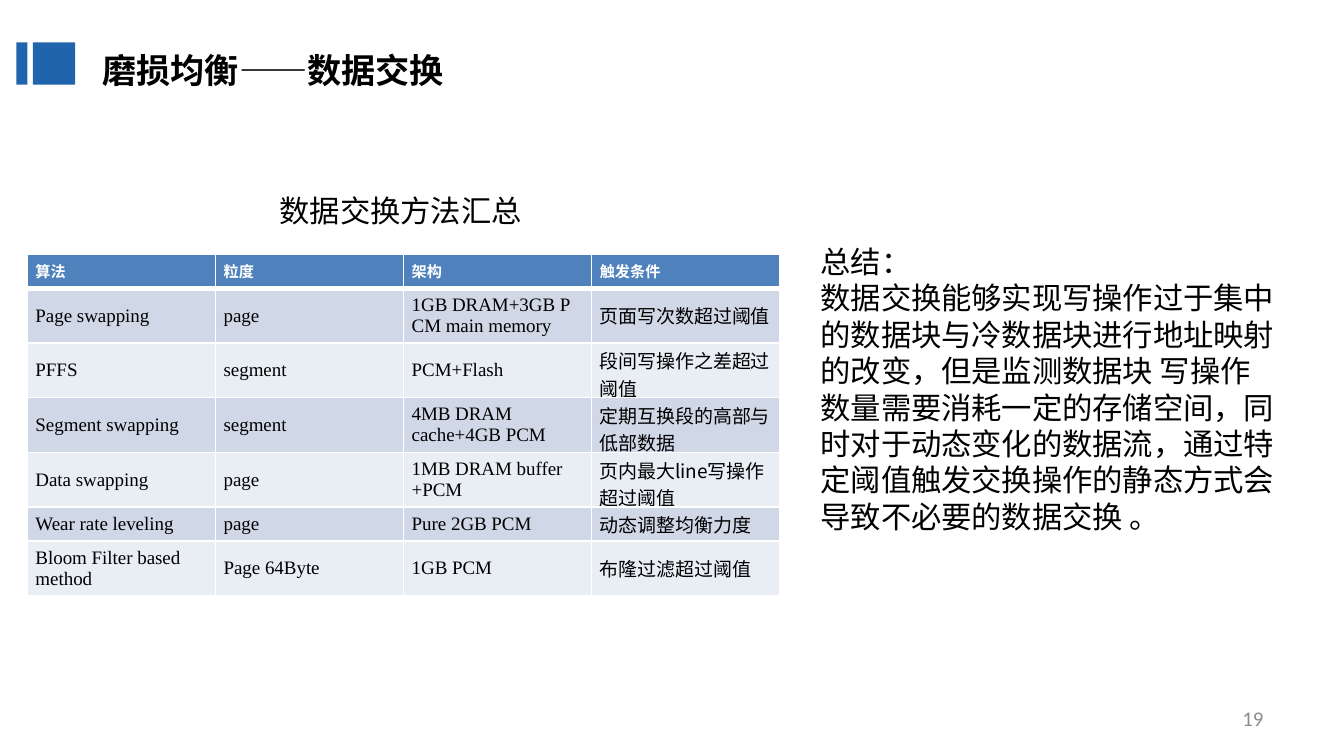
from dataclasses import dataclass

import lxml.etree
import pptx
import pptx.dml.color
import pptx.enum.shapes
import pptx.enum.text
import pptx.oxml.ns
import pptx.util

Inches = pptx.util.Inches
Anchor = pptx.enum.text.MSO_ANCHOR
Align = pptx.enum.text.PP_ALIGN
AutoSize = pptx.enum.text.MSO_AUTO_SIZE


@dataclass(frozen=True)
class Theme:
    accent: str = "2064AD"
    header: str = "4F81BD"
    bands: tuple[str, str] = ("D0D8E8", "E9EDF4")
    white: str = "FFFFFF"
    black: str = "000000"
    grey: str = "8C8C8C"
    chinese: str = "Noto Sans CJK SC"
    latin: str = "Times New Roman"
    sans: str = "Arial"
    number: str = "Calibri"
    title_size: int = 18
    text_size: int = 16
    number_size: int = 11
    cell_size: int = 10
    header_size: int = 8


@dataclass(frozen=True)
class Style:
    font: str
    size: int
    color: str
    bold: bool = False


@dataclass(frozen=True)
class Box:
    left: float
    top: float
    width: float
    height: float

    def lengths(self) -> tuple:
        return tuple(Inches(v) for v in (self.left, self.top, self.width, self.height))


@dataclass(frozen=True)
class Label:
    box: Box
    text: str
    style: Style
    align: Align = Align.LEFT
    anchor: Anchor = Anchor.TOP
    fit: AutoSize = AutoSize.SHAPE_TO_FIT_TEXT


@dataclass(frozen=True)
class Method:
    algorithm: str
    granularity: str
    architecture: str
    trigger: str

    def texts(self) -> tuple[str, ...]:
        return self.algorithm, self.granularity, self.architecture, self.trigger


THEME = Theme()
BODY = Style(THEME.sans, THEME.text_size, THEME.black)
CAPTION = Style(THEME.chinese, THEME.text_size, THEME.black)
TITLE = Style(THEME.sans, THEME.title_size, THEME.black, True)
PAGE_NUMBER = Style(THEME.number, THEME.number_size, THEME.grey)
HEADER_CELL = Style(THEME.chinese, THEME.header_size, THEME.white, True)
LATIN_CELL = Style(THEME.latin, THEME.cell_size, THEME.black)
CHINESE_CELL = Style(THEME.chinese, THEME.cell_size, THEME.black)

ACCENT_BARS = [Box(0.24, 0.31, 0.31, 0.31), Box(0.12, 0.31, 0.08, 0.31)]
TITLE_BOX = Box(0.75, 0.3, 4.25, 0.33)
TABLE_BOX = Box(0.2, 1.86, 5.51, 2.51)
ROW_HEIGHTS = [0.25, 0.4, 0.4, 0.4, 0.4, 0.25, 0.4]

METHODS = [
    Method("算法", "粒度", "架构", "触发条件"),
    Method("Page swapping", "page", "1GB DRAM+3GB P CM main memory", "页面写次数超过阈值"),
    Method("PFFS", "segment", "PCM+Flash", "段间写操作之差超过阈值"),
    Method("Segment swapping", "segment", "4MB DRAM cache+4GB PCM", "定期互换段的高部与低部数据"),
    Method("Data swapping", "page", "1MB DRAM buffer +PCM", "页内最大line写操作超过阈值"),
    Method("Wear rate leveling", "page", "Pure 2GB PCM", "动态调整均衡力度"),
    Method("Bloom Filter based method", "Page 64Byte", "1GB PCM", "布隆过滤超过阈值"),
]

LABELS = [
    Label(Box(0, 1.36, 5.87, 0.37), "数据交换方法汇总", CAPTION, Align.CENTER),
    Label(
        Box(5.91, 1.73, 3.54, 2.26),
        "总结：\n数据交换能够实现写操作过于集中的数据块与冷数据块进行地址映射的改变，"
        "但是监测数据块 写操作数量需要消耗一定的存储空间，同时对于动态变化的数据流，"
        "通过特定阈值触发交换操作的静态方式会导致不必要的数据交换 。",
        BODY,
    ),
    Label(Box(7.05, 5.11, 2.3, 0.29), "19", PAGE_NUMBER, Align.RIGHT, Anchor.MIDDLE, AutoSize.NONE),
]


def rgb(color: str) -> pptx.dml.color.RGBColor:
    return pptx.dml.color.RGBColor.from_string(color)


def format_text(frame: pptx.text.text.TextFrame, style: Style, align: Align = Align.LEFT) -> None:
    for paragraph in frame.paragraphs:
        paragraph.alignment = align
        for run in paragraph.runs:
            run.font.size = pptx.util.Pt(style.size)
            run.font.bold = style.bold
            run.font.color.rgb = rgb(style.color)
            run.font.name = style.font
            east_asian = lxml.etree.SubElement(run.font._element, pptx.oxml.ns.qn("a:ea"))
            east_asian.set("typeface", THEME.chinese)


def add_title(slide: pptx.slide.Slide, text: str) -> None:
    title = slide.shapes.title
    title.left, title.top, title.width, title.height = TITLE_BOX.lengths()
    frame = title.text_frame
    frame.text = text
    frame.margin_left = frame.margin_right = frame.margin_top = frame.margin_bottom = 0
    frame.vertical_anchor = Anchor.TOP
    frame.word_wrap = True
    frame.auto_size = AutoSize.SHAPE_TO_FIT_TEXT
    frame.paragraphs[0].line_spacing = 1.2
    format_text(frame, TITLE)


def add_accent_bar(slide: pptx.slide.Slide, box: Box) -> None:
    bar = slide.shapes.add_shape(pptx.enum.shapes.MSO_SHAPE.RECTANGLE, *box.lengths())
    bar.shadow.inherit = False
    bar.fill.solid()
    bar.fill.fore_color.rgb = rgb(THEME.accent)
    bar.line.fill.background()


def add_label(slide: pptx.slide.Slide, label: Label) -> None:
    frame = slide.shapes.add_textbox(*label.box.lengths()).text_frame
    frame.text = label.text
    frame.word_wrap = True
    frame.auto_size = label.fit
    frame.vertical_anchor = label.anchor
    format_text(frame, label.style, label.align)


def set_borders(cell: pptx.table._Cell, top: int, bottom: int) -> None:
    properties = cell._tc.get_or_add_tcPr()
    for side, points in (("L", 1), ("R", 1), ("T", top), ("B", bottom)):
        line = lxml.etree.SubElement(properties, pptx.oxml.ns.qn(f"a:ln{side}"))
        line.set("w", str(pptx.util.Pt(points)))
        fill = lxml.etree.SubElement(line, pptx.oxml.ns.qn("a:solidFill"))
        lxml.etree.SubElement(fill, pptx.oxml.ns.qn("a:srgbClr")).set("val", THEME.white)


def fill_cell(cell: pptx.table._Cell, text: str, row: int, column: int) -> None:
    cell.text = text
    cell.margin_left = cell.margin_right = Inches(0.06)
    cell.margin_top = cell.margin_bottom = Inches(0.03)
    cell.vertical_anchor = Anchor.MIDDLE
    set_borders(cell, 3 if row == 1 else 1, 3 if row == 0 else 1)
    cell.fill.solid()
    cell.fill.fore_color.rgb = rgb(THEME.bands[(row - 1) % 2] if row else THEME.header)
    body_style = CHINESE_CELL if column == 3 else LATIN_CELL
    format_text(cell.text_frame, body_style if row else HEADER_CELL)


def add_methods_table(slide: pptx.slide.Slide) -> None:
    table = slide.shapes.add_table(len(METHODS), 4, *TABLE_BOX.lengths()).table
    for row, (method, height) in enumerate(zip(METHODS, ROW_HEIGHTS)):
        table.rows[row].height = Inches(height)
        for column, text in enumerate(method.texts()):
            fill_cell(table.cell(row, column), text, row, column)


def main() -> None:
    deck = pptx.Presentation()
    deck.slide_width, deck.slide_height = Inches(9.84), Inches(5.51)
    slide = deck.slides.add_slide(deck.slide_layouts.get_by_name("Title Only"))
    add_title(slide, "磨损均衡——数据交换")
    add_methods_table(slide)
    for bar in ACCENT_BARS:
        add_accent_bar(slide, bar)
    for label in LABELS:
        add_label(slide, label)
    deck.save("out.pptx")


if __name__ == "__main__":
    main()
